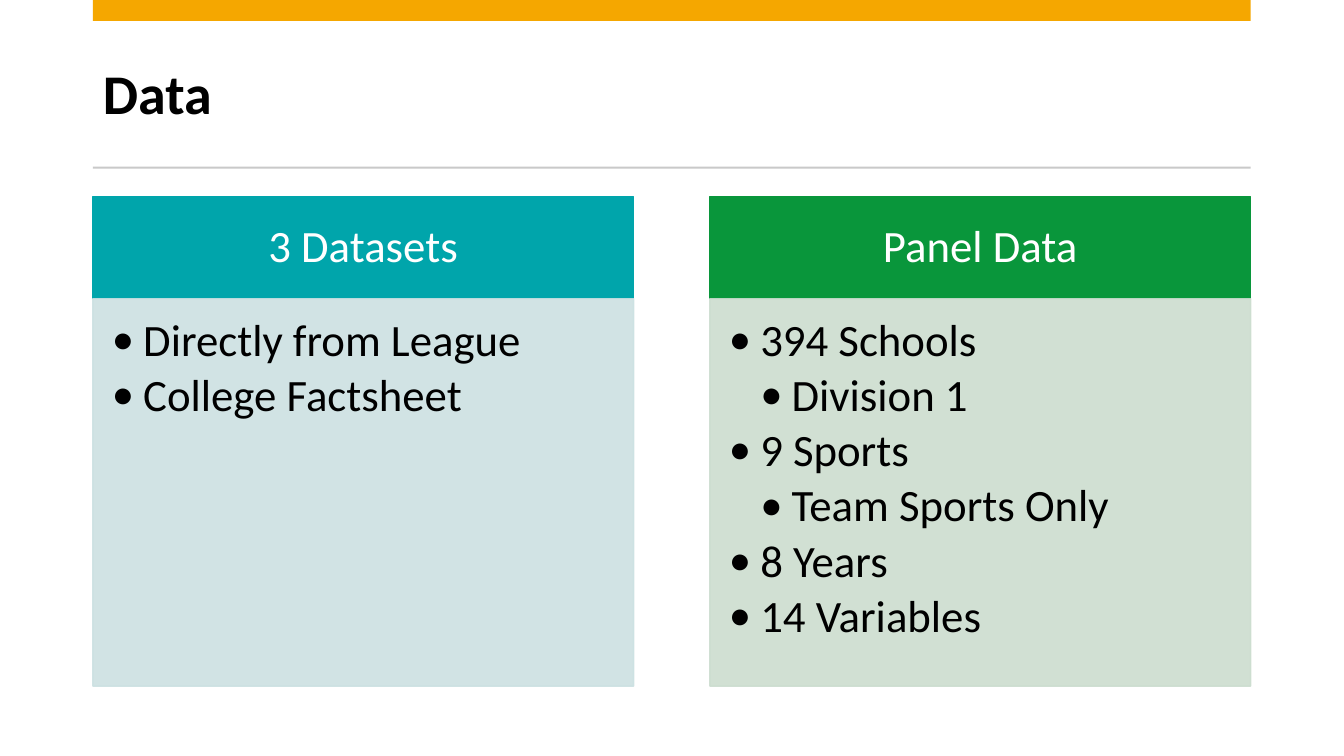
from lxml.etree import SubElement
from pptx import Presentation
from pptx.dml.color import RGBColor
from pptx.enum.shapes import MSO_SHAPE
from pptx.enum.text import MSO_ANCHOR, MSO_AUTO_SIZE, PP_ALIGN
from pptx.oxml.ns import qn
from pptx.util import Cm, Pt

COLORS = {
    "white": "FFFFFF",
    "black": "000000",
    "accent": "F5A700",
    "rule": "C9C9C9",
    "teal": "00A5AB",
    "teal tint": "CCE1E2",
    "green": "09963B",
    "green tint": "CCDDCF",
}
FONT = "Calibri"
LEFT, CONTENT_WIDTH = 2.34, 29.18
COLUMN_WIDTH = 13.63
HEADER_TOP, HEADER_HEIGHT = 4.96, 2.57
BODY_HEIGHT = 9.76
INDENT = 0.79

COLUMNS = [
    ("3 Datasets", "teal", [("Directly from League", 0), ("College Factsheet", 0)]),
    ("Panel Data", "green", [
        ("394 Schools", 0),
        ("Division 1", 1),
        ("9 Sports", 0),
        ("Team Sports Only", 1),
        ("8 Years", 0),
        ("14 Variables", 0),
    ]),
]


def rgb(name):
    return RGBColor.from_string(COLORS[name])


def format_paragraph(paragraph, size, color, alignment=PP_ALIGN.LEFT, bold=False):
    paragraph.alignment = alignment
    paragraph.line_spacing = 0.9
    font = paragraph.font
    font.name, font.size, font.bold = FONT, Pt(size), bold
    font.color.rgb = rgb(color)


def set_margins(text_frame, left, top, right, bottom):
    text_frame.margin_left, text_frame.margin_top = Cm(left), Cm(top)
    text_frame.margin_right, text_frame.margin_bottom = Cm(right), Cm(bottom)


def add_rectangle(slide, left, top, width, height, color, outlined=False):
    shape = slide.shapes.add_shape(
        MSO_SHAPE.RECTANGLE, Cm(left), Cm(top), Cm(width), Cm(height))
    shape.shadow.inherit = False
    shape.fill.solid()
    shape.fill.fore_color.rgb = rgb(color)
    if outlined:
        shape.line.color.rgb = rgb(color)
        shape.line.width = Pt(1)
    else:
        shape.line.fill.background()
    return shape


def set_opacity(shape, percent):
    """Apply one opacity to both fill and outline."""
    for color in shape.element.spPr.iter(qn("a:srgbClr")):
        SubElement(color, qn("a:alpha"), val=str(percent * 1000))


def add_bullet(paragraph):
    properties = paragraph._p.get_or_add_pPr()
    properties.set("marL", str(Cm(INDENT * (paragraph.level + 1))))
    properties.set("indent", str(-Cm(INDENT)))
    bullet_font = SubElement(properties, qn("a:buFont"), typeface=FONT)
    bullet = SubElement(properties, qn("a:buChar"), char="•")
    run_defaults = properties.find(qn("a:defRPr"))
    run_defaults.addprevious(bullet_font)
    run_defaults.addprevious(bullet)


def add_title(slide, text):
    title = slide.shapes.title
    title.left, title.top = Cm(LEFT), Cm(0.94)
    title.width, title.height = Cm(CONTENT_WIDTH), Cm(3)
    frame = title.text_frame
    frame.text = text
    frame.auto_size = MSO_AUTO_SIZE.NONE
    frame.vertical_anchor = MSO_ANCHOR.MIDDLE
    format_paragraph(frame.paragraphs[0], 40, "black", bold=True)


def add_header(slide, left, text, color):
    header = add_rectangle(
        slide, left, HEADER_TOP, COLUMN_WIDTH, HEADER_HEIGHT, color, outlined=True)
    frame = header.text_frame
    frame.text = text
    frame.vertical_anchor = MSO_ANCHOR.MIDDLE
    set_margins(frame, 0.64, 0.36, 0.64, 0.36)
    format_paragraph(frame.paragraphs[0], 32, "white", PP_ALIGN.CENTER)


def add_list_panel(slide, left, items, color):
    panel = add_rectangle(
        slide, left, HEADER_TOP + HEADER_HEIGHT, COLUMN_WIDTH, BODY_HEIGHT,
        color, outlined=True)
    set_opacity(panel, 90)
    frame = panel.text_frame
    frame.text = "\n".join(text for text, level in items)
    frame.vertical_anchor = MSO_ANCHOR.TOP
    set_margins(frame, 0.48, 0.48, 0.64, 0.71)
    for paragraph, (text, level) in zip(frame.paragraphs, items):
        paragraph.level = level
        paragraph.space_after = Pt(4.8)
        format_paragraph(paragraph, 32, "black")
        add_bullet(paragraph)


def main():
    presentation = Presentation()
    presentation.slide_width, presentation.slide_height = Cm(33.87), Cm(19.05)
    slide = presentation.slides.add_slide(presentation.slide_layouts[5])

    add_title(slide, "Data")
    add_rectangle(slide, LEFT, 0, CONTENT_WIDTH, 0.53, "accent")
    add_rectangle(slide, LEFT, 4.2, CONTENT_WIDTH, 0.05, "rule")

    for index, (heading, color, items) in enumerate(COLUMNS):
        left = LEFT + index * (CONTENT_WIDTH - COLUMN_WIDTH)
        add_header(slide, left, heading, color)
        add_list_panel(slide, left, items, f"{color} tint")

    presentation.save("out.pptx")


if __name__ == "__main__":
    main()
